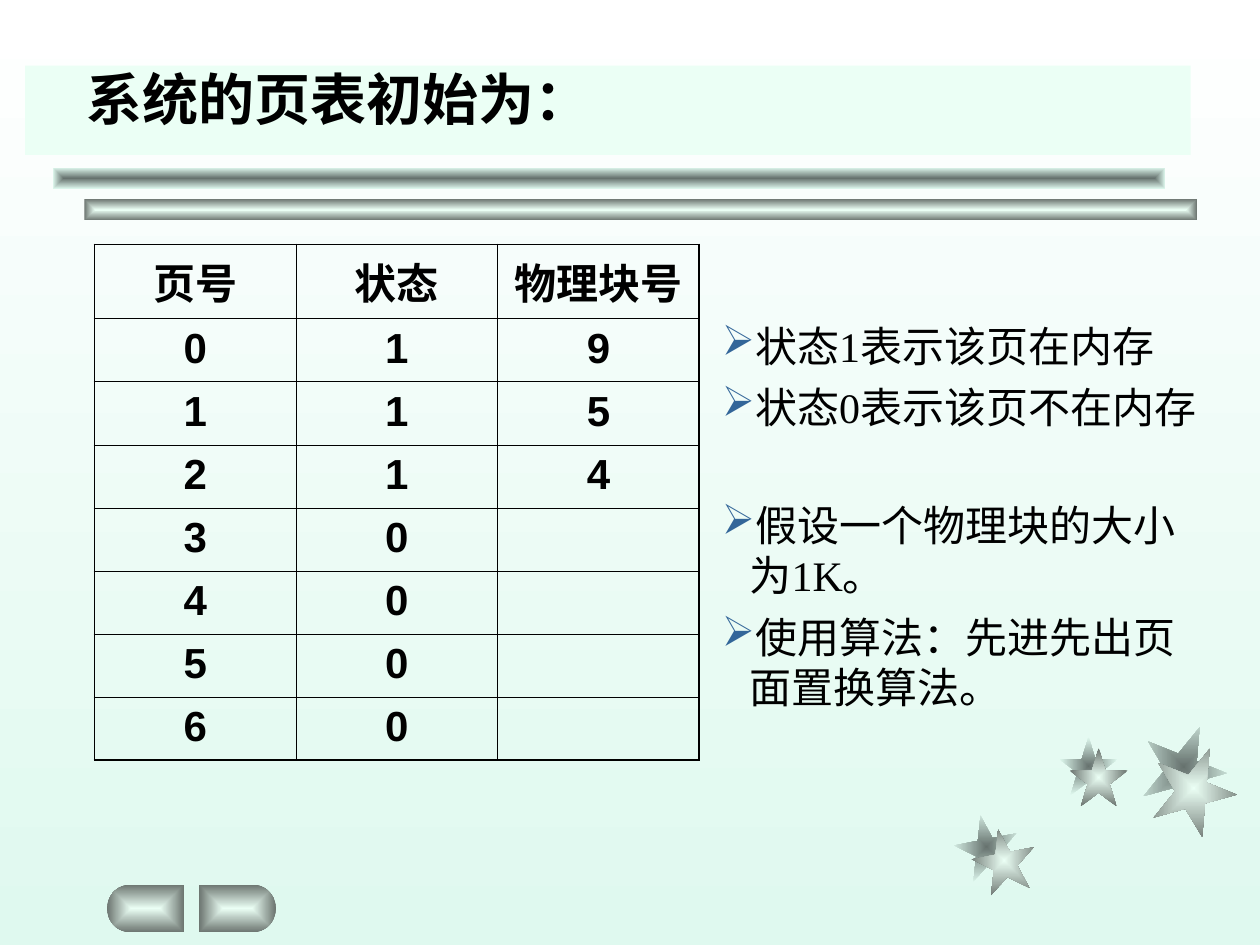
import math
from dataclasses import dataclass

import pptx
import pptx.dml.color
import pptx.enum.shapes
import pptx.enum.text
import pptx.oxml
import pptx.oxml.ns
import pptx.util
from pptx.util import Inches

Kind = pptx.enum.shapes.MSO_SHAPE
Align = pptx.enum.text.PP_ALIGN


@dataclass(frozen=True)
class Theme:
    ink: str = "000000"
    mint: str = "EBFFF5"
    bullet: str = "336699"
    sky: tuple = ("FFFFFF", "DFF9EF")
    light: tuple = ("EBFFF5", "6C7570")
    dark: tuple = ("66726E", "DFF9EF")
    sans: str = "Arial"
    serif: str = "Times New Roman"
    head: int = 32
    body: int = 24
    thin: float = 0.45
    thick: float = 1.08


@dataclass(frozen=True)
class Star:
    left: float
    top: float
    size: float
    turn: int
    tones: tuple


@dataclass(frozen=True)
class Bar:
    left: float
    top: float
    tones: tuple


@dataclass(frozen=True)
class Note:
    top: float
    high: float
    lines: tuple


THEME = Theme()
STARS = (
    Star(7.58, 6.47, 0.5, 349, THEME.dark),
    Star(8.41, 5.85, 0.46, 0, THEME.dark),
    Star(9.06, 5.75, 0.67, 22, THEME.dark),
    Star(7.72, 6.58, 0.5, 349, THEME.light),
    Star(8.49, 5.94, 0.46, 0, THEME.light),
    Star(9.14, 5.92, 0.67, 22, THEME.light),
)
BARS = (Bar(0.67, 1.58, THEME.light), Bar(0.42, 1.33, THEME.dark))
ROWS = (
    ("页号", "状态", "物理块号"),
    ("0", "1", "9"),
    ("1", "1", "5"),
    ("2", "1", "4"),
    ("3", "0", ""),
    ("4", "0", ""),
    ("5", "0", ""),
    ("6", "0", ""),
)
NOTES = (
    Note(2.49, 1.39, ("状态1表示该页在内存", "状态0表示该页不在内存")),
    Note(3.91, 1.79, ("假设一个物理块的大小为1K。", "使用算法：先进先出页面置换算法。")),
)


def color(code: str) -> pptx.dml.color.RGBColor:
    return pptx.dml.color.RGBColor.from_string(code)


def element(parent, tag: str, **attrs: str):
    child = pptx.oxml.ns.qn(tag)
    node = parent.makeelement(child, attrs)
    parent.append(node)
    return node


def blend(fill, tones: tuple) -> None:
    fill.gradient()
    fill.gradient_angle = 270
    for stop, tone in zip(fill.gradient_stops, tones):
        stop.color.rgb = color(tone)


def bevel(shape, tones: tuple) -> None:
    blend(shape.fill, tones)
    shape.line.fill.background()
    shape.shadow.inherit = False
    grad = shape._element.spPr.find(pptx.oxml.ns.qn("a:gradFill"))
    grad.remove(grad.find(pptx.oxml.ns.qn("a:lin")))
    focus = element(grad, "a:path", path="rect")
    element(focus, "a:fillToRect", **dict.fromkeys("ltrb", "50000"))


def style(para, size: int, face: str, bold: bool = False) -> None:
    font = para.font
    font.size, font.name, font.bold = pptx.util.Pt(size), face, bold
    font.color.rgb = color(THEME.ink)


def indent(para, left: float, first: float):
    props = para._p.get_or_add_pPr()
    props.set("marL", str(Inches(left)))
    props.set("indent", str(Inches(first)))
    return props


def draw_star(slide, star: Star) -> None:
    shape = slide.shapes.add_shape(
        Kind.STAR_5_POINT, Inches(star.left), Inches(star.top),
        Inches(star.size), Inches(star.size))
    shape.rotation = star.turn
    bevel(shape, star.tones)


def draw_bar(slide, bar: Bar) -> None:
    shape = slide.shapes.add_shape(
        Kind.RECTANGLE, Inches(bar.left), Inches(bar.top), Inches(8.83), Inches(0.17))
    bevel(shape, bar.tones)


def draw_button(slide, flat: float, side: int) -> None:
    mid, wide, high = 7.21, 0.42, 0.19
    steps = 18
    arc = [
        (Inches(flat + side * (wide + high * math.sin(math.pi * i / steps))),
         Inches(mid - high * math.cos(math.pi * i / steps)))
        for i in range(steps + 1)
    ]
    build = slide.shapes.build_freeform(Inches(flat), Inches(mid - high))
    build.add_line_segments(arc + [(Inches(flat), Inches(mid + high))], close=True)
    bevel(build.convert_to_shape(), THEME.light)


def draw_title(slide) -> None:
    box = slide.shapes.add_textbox(Inches(0.2), Inches(0.52), Inches(9.25), Inches(0.71))
    box.fill.solid()
    box.fill.fore_color.rgb = color(THEME.mint)
    box.text_frame.word_wrap = True
    para = box.text_frame.paragraphs[0]
    para.text = "系统的页表初始为："
    para.line_spacing = 0.9
    indent(para, 0.59, -0.2)
    style(para, THEME.head, THEME.sans, True)


def edge(cell, side: str, width: float) -> None:
    props = cell._tc.get_or_add_tcPr()
    line = element(props, f"a:ln{side}", w=str(pptx.util.Pt(width)))
    element(element(line, "a:solidFill"), "a:srgbClr", val=THEME.ink)


def draw_table(slide) -> None:
    count, span = len(ROWS), len(ROWS[0])
    table = slide.shapes.add_table(
        count, span, Inches(0.75), Inches(1.94), Inches(4.8), Inches(3.99)).table
    table.first_row = table.horz_banding = False
    for r, words in enumerate(ROWS):
        table.rows[r].height = Inches(0.49 if r else 0.59)
        for c, word in enumerate(words):
            cell = table.cell(r, c)
            outer = {"L": c == 0, "R": c == span - 1, "T": r == 0, "B": r == count - 1}
            for side, rim in outer.items():
                edge(cell, side, THEME.thick if rim else THEME.thin)
            cell.fill.background()
            para = cell.text_frame.paragraphs[0]
            para.text = word
            para.alignment = Align.CENTER
            style(para, THEME.body, THEME.sans, True)


def draw_note(slide, note: Note) -> None:
    box = slide.shapes.add_textbox(
        Inches(5.63), Inches(note.top), Inches(4.02), Inches(note.high))
    frame = box.text_frame
    frame.word_wrap = True
    for i, line in enumerate(note.lines):
        para = frame.paragraphs[0] if i == 0 else frame.add_paragraph()
        para.text = line
        para.line_spacing = pptx.util.Pt(29)
        if i:
            para.space_before = pptx.util.Pt(6)
        props = indent(para, 0.22, -0.22)
        element(element(props, "a:buClr"), "a:srgbClr", val=THEME.bullet)
        element(props, "a:buChar", char="➢")
        style(para, THEME.body, THEME.serif)


def main() -> None:
    deck = pptx.Presentation()
    deck.slide_width, deck.slide_height = Inches(10), Inches(7.5)
    slide = deck.slides.add_slide(deck.slide_layouts[6])
    blend(slide.background.fill, THEME.sky)
    for star in STARS:
        draw_star(slide, star)
    for bar in BARS:
        draw_bar(slide, bar)
    draw_button(slide, 1.46, -1)
    draw_button(slide, 1.58, 1)
    draw_title(slide)
    draw_table(slide)
    for note in NOTES:
        draw_note(slide, note)
    deck.save("out.pptx")


if __name__ == "__main__":
    main()
